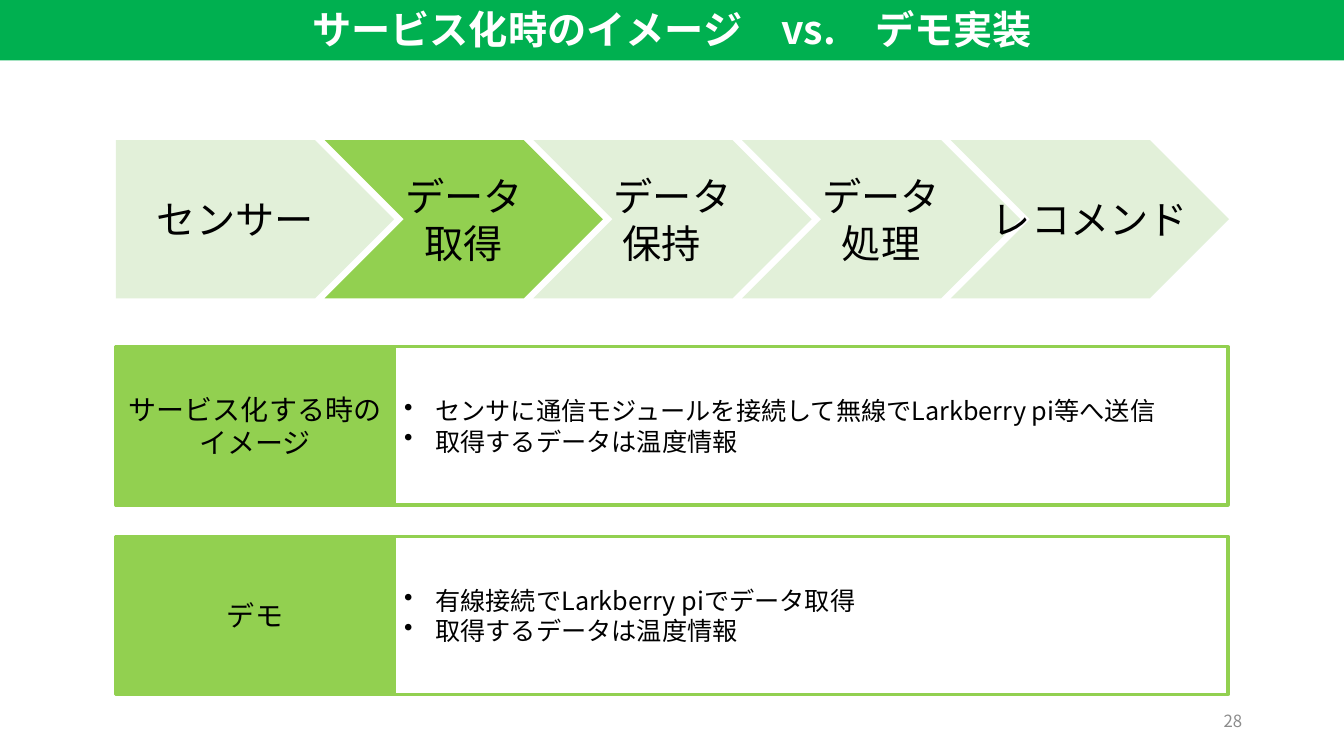
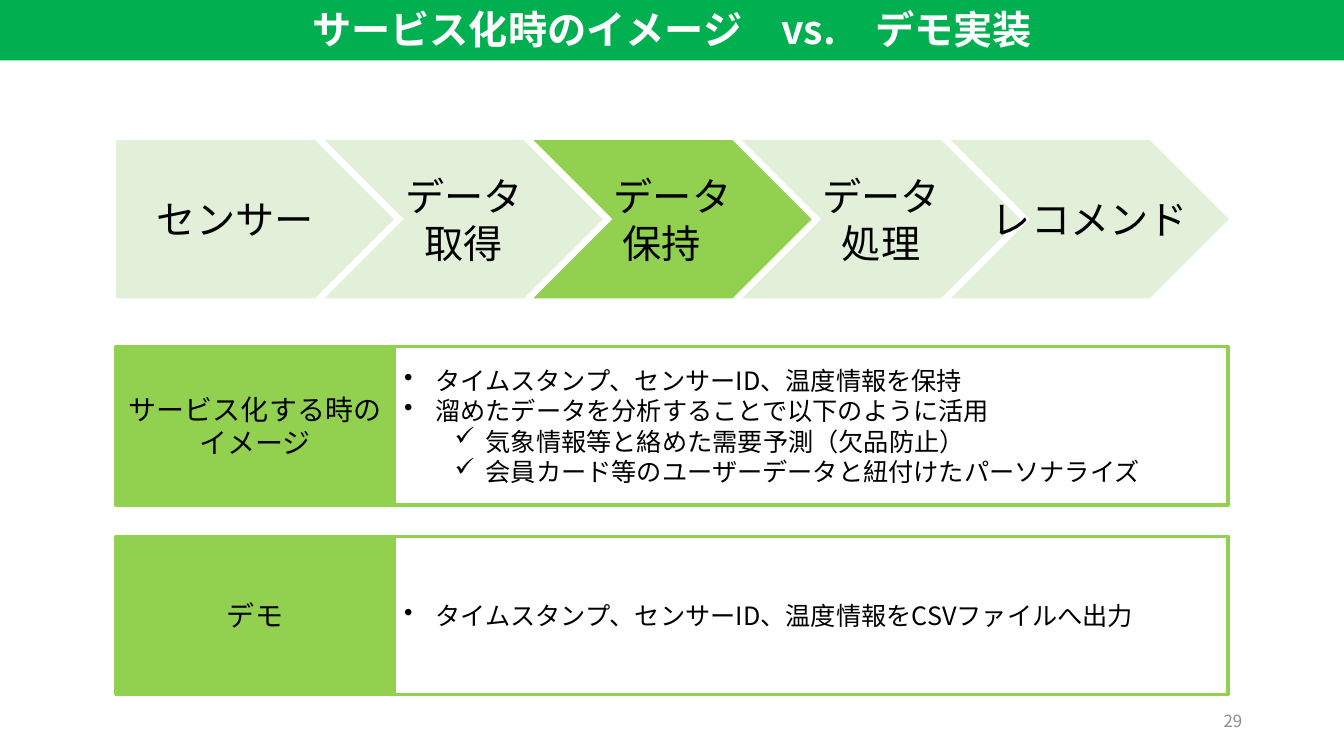
from dataclasses import dataclass

from lxml import etree
from pptx import Presentation
from pptx.dml.color import RGBColor
from pptx.enum import shapes, text
from pptx.oxml import ns
from pptx.util import Inches, Pt

# Shared style
FONT = "Noto Sans CJK JP"
GREEN = RGBColor(0x00, 0xB0, 0x50)
LIME = RGBColor(0x92, 0xD0, 0x50)
PALE = RGBColor(0xE2, 0xF0, 0xD9)
GRAY = RGBColor(0x8C, 0x8C, 0x8C)
BLACK = RGBColor(0, 0, 0)
WHITE = RGBColor(255, 255, 255)

KIND = shapes.MSO_SHAPE
ALIGN = text.PP_ALIGN

# Shared layout, in inches
LEFT, WIDTH, HEIGHT = 1.15, 2.76, 1.57
STEP_TOP, PITCH = 1.39, 2.07
ROW_TOP, ROW_GAP = 3.44, 1.88
BODY = 8.27

TITLE = "サービス化時のイメージ　vs.　デモ実装"
STEPS = ["センサー", "データ\n取得", "データ\n保持\t", "データ\n処理", "レコメンド"]
LABELS = ["サービス化する時の\nイメージ", "デモ"]


@dataclass
class Box:
    x: float
    y: float
    w: float
    h: float


@dataclass
class Style:
    size: int
    color: RGBColor = BLACK
    bold: bool = False
    align: ALIGN = ALIGN.CENTER


@dataclass
class Item:
    words: str
    level: int = 0


@dataclass
class Page:
    number: int
    active: int
    rows: list[list[Item]]


PAGES = [
    Page(28, 1, [
        [Item("センサに通信モジュールを接続して無線でLarkberry pi等へ送信"),
         Item("取得するデータは温度情報")],
        [Item("有線接続でLarkberry piでデータ取得"),
         Item("取得するデータは温度情報")],
    ]),
    Page(29, 2, [
        [Item("タイムスタンプ、センサーID、温度情報を保持"),
         Item("溜めたデータを分析することで以下のように活用"),
         Item("気象情報等と絡めた需要予測（欠品防止）", 1),
         Item("会員カード等のユーザーデータと紐付けたパーソナライズ", 1)],
        [Item("タイムスタンプ、センサーID、温度情報をCSVファイルへ出力")],
    ]),
]


def bullet(para, level: int) -> None:
    para.level = level
    props = para._p.get_or_add_pPr()
    props.set("marL", str(Inches(0.31 + 0.5 * level)))
    props.set("indent", str(Inches(-0.31)))
    mark = etree.SubElement(props, ns.qn("a:buChar"))
    mark.set("char", "•✓"[level])


def write(frame, items: list[Item], style: Style, marks: bool = False) -> None:
    frame.vertical_anchor = text.MSO_ANCHOR.MIDDLE
    for i, item in enumerate(items):
        para = frame.add_paragraph() if i else frame.paragraphs[0]
        para.add_run().text = item.words
        para.alignment = style.align
        if marks:
            bullet(para, item.level)
        font = para.font
        font.size, font.bold, font.name = Pt(style.size), style.bold, FONT
        font.color.rgb = style.color
        # East Asian glyphs need their own typeface entry
        base = para._p.pPr.find(ns.qn("a:defRPr"))
        etree.SubElement(base, ns.qn("a:ea")).set("typeface", FONT)


def lines(words: str) -> list[Item]:
    return [Item(line) for line in words.split("\n")]


def draw(slide, kind: KIND, box: Box, fill: RGBColor | None = None,
         edge: RGBColor | None = None):
    shape = slide.shapes.add_shape(
        kind, Inches(box.x), Inches(box.y), Inches(box.w), Inches(box.h))
    shape.shadow.inherit = False
    if fill is None:
        shape.fill.background()
    else:
        shape.fill.solid()
        shape.fill.fore_color.rgb = fill
    if edge is None:
        shape.line.fill.background()
    else:
        shape.line.color.rgb = edge
        shape.line.width = Pt(2.25)
    shape.text_frame.word_wrap = True
    return shape


def frame(slide, number: int) -> None:
    # Title band and page number
    band = draw(slide, KIND.RECTANGLE, Box(-0.03, -0.03, 13.39, 0.63), GREEN)
    write(band.text_frame, lines(TITLE), Style(28, WHITE, True))
    foot = slide.shapes.add_textbox(
        Inches(9.42), Inches(6.95), Inches(3), Inches(0.4))
    foot.text_frame.word_wrap = True
    write(foot.text_frame, lines(str(number)),
          Style(12, GRAY, align=ALIGN.RIGHT))


def flow(slide, active: int) -> None:
    # Process steps, the current one highlighted
    for i, words in enumerate(STEPS):
        kind = KIND.CHEVRON if i else KIND.PENTAGON
        box = Box(LEFT + i * PITCH, STEP_TOP, WIDTH, HEIGHT)
        step = draw(slide, kind, box, LIME if i == active else PALE)
        step.text_frame.word_wrap = i == 0
        write(step.text_frame, lines(words), Style(28))


def table(slide, rows: list[list[Item]]) -> None:
    # Labelled rows: service image and demo
    for i, (label, items) in enumerate(zip(LABELS, rows)):
        top = ROW_TOP + i * ROW_GAP
        head = draw(slide, KIND.RECTANGLE, Box(LEFT, top, WIDTH, HEIGHT),
                    LIME, LIME)
        write(head.text_frame, lines(label), Style(20))
        body = draw(slide, KIND.RECTANGLE,
                    Box(LEFT + WIDTH, top, BODY, HEIGHT), edge=LIME)
        write(body.text_frame, items, Style(18, align=ALIGN.LEFT), marks=True)


def main() -> None:
    deck = Presentation()
    deck.slide_width, deck.slide_height = Inches(13.33), Inches(7.5)
    for page in PAGES:
        slide = deck.slides.add_slide(deck.slide_layouts[6])
        frame(slide, page.number)
        flow(slide, page.active)
        table(slide, page.rows)
    deck.save("out.pptx")


if __name__ == "__main__":
    main()
